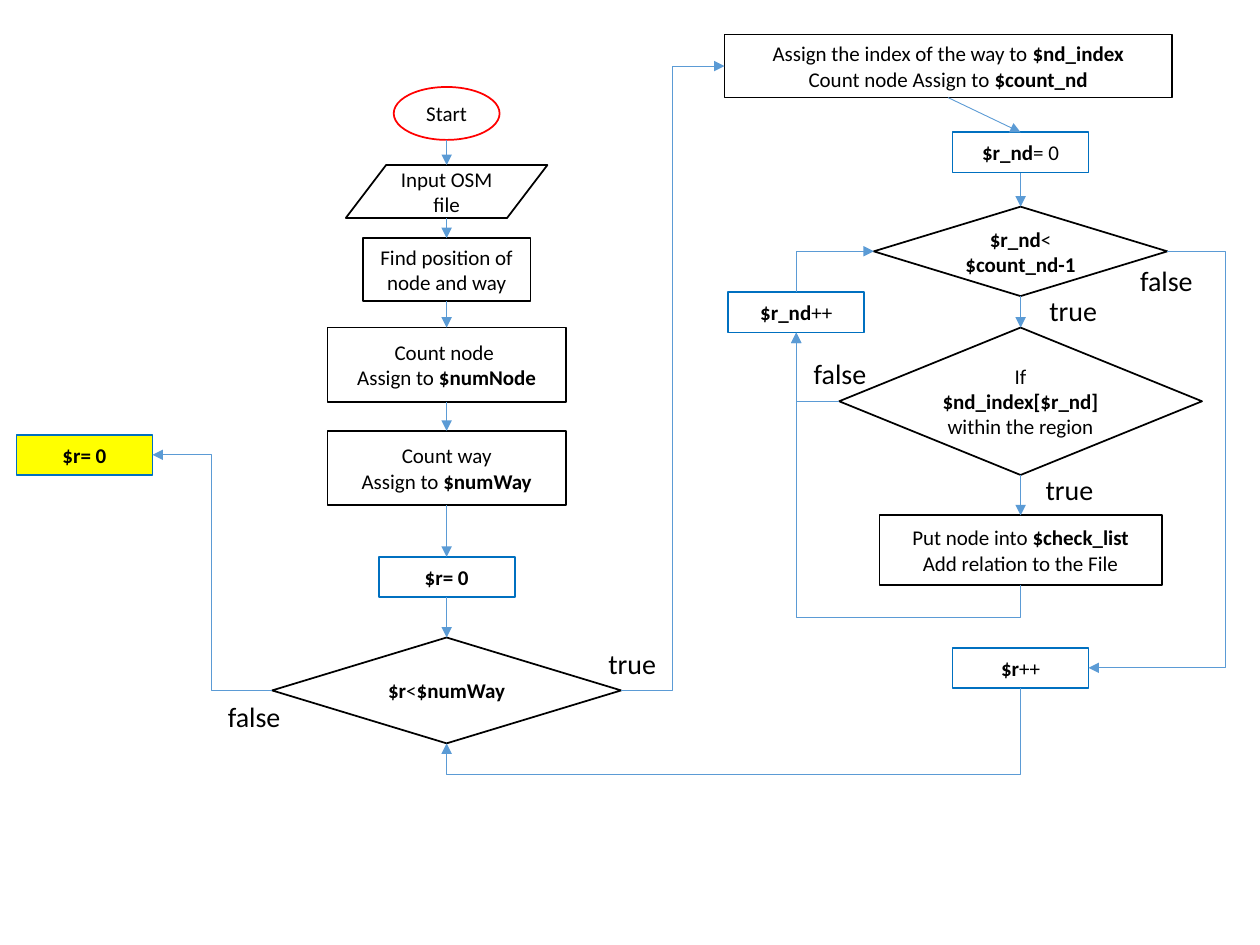
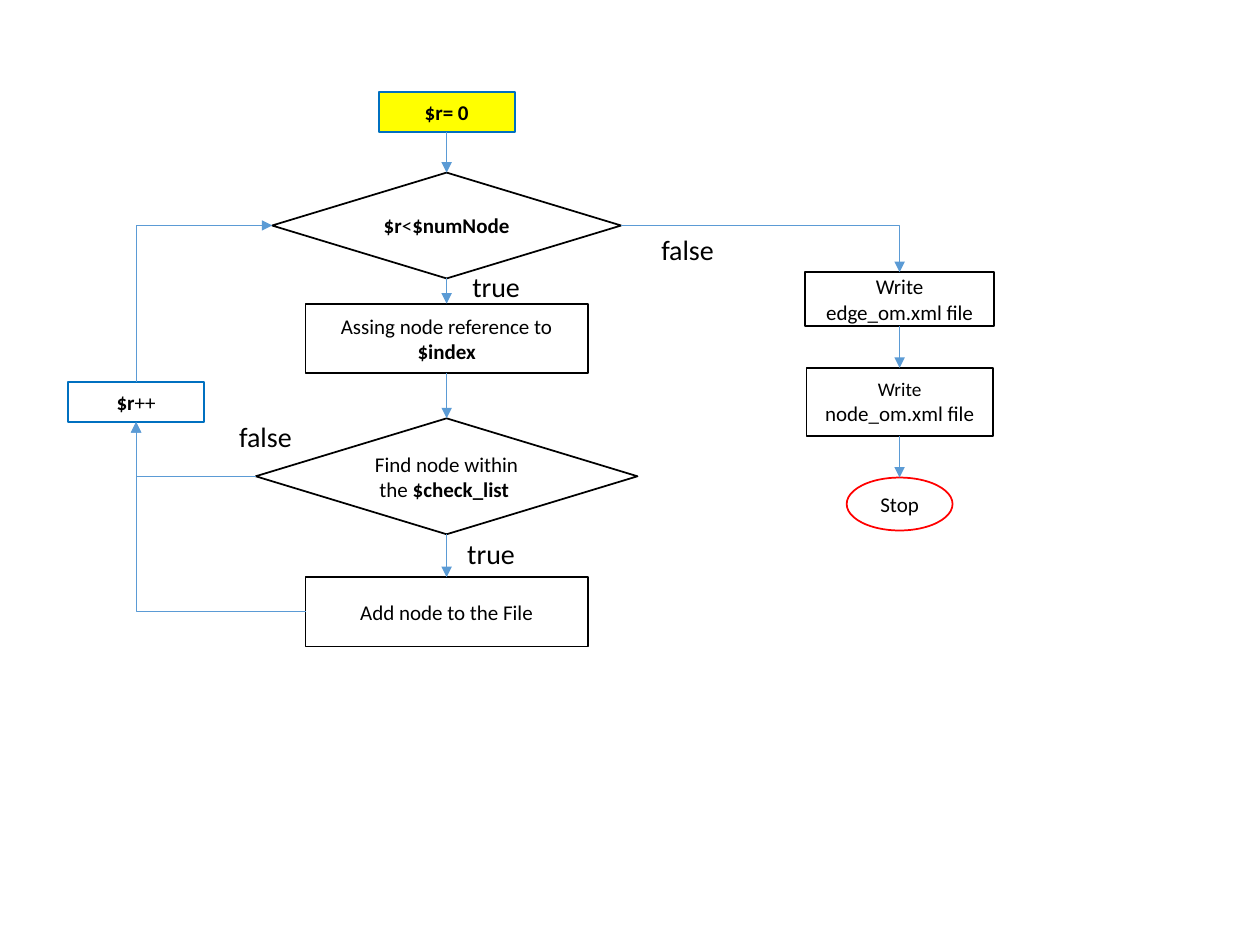
"""Build two flowchart slides about filtering map nodes and ways."""
from dataclasses import dataclass
from typing import NamedTuple, Optional

from lxml.etree import SubElement
from pptx import Presentation
from pptx.dml.color import RGBColor
from pptx.enum.shapes import MSO_CONNECTOR, MSO_SHAPE
from pptx.enum.text import MSO_ANCHOR, MSO_AUTO_SIZE, PP_ALIGN
from pptx.oxml.ns import qn
from pptx.util import Inches, Pt

COLORS = {
    "text": "000000",
    "paper": "FFFFFF",
    "step": "000000",
    "counter": "0070C0",
    "terminal": "FF0000",
    "handover": "FFFF00",
    "arrow": "5B9BD5",
}
FONT = "Calibri"
COLUMNS, ROWS = 100, 75
MAIN, RIGHT, OUTPUT = 35.45, 81, 71.4
LABEL_WIDTHS = {"true": 5.9, "false": 6.2}
LABEL_HEIGHT = 3.7

prs = Presentation()
prs.slide_width, prs.slide_height = Inches(10), Inches(7.5)
COL, ROW = prs.slide_width / COLUMNS, prs.slide_height / ROWS


class Site(NamedTuple):
    """A point in the middle of one side of a node."""
    x: float
    y: float
    index: int
    horizontal: bool


@dataclass(frozen=True)
class Kind:
    """The look of one family of nodes; sites run top, left, bottom, right."""
    shape: MSO_SHAPE
    line: str = "step"
    fill: str = "paper"
    sites: tuple = (0, 1, 2, 3)


KINDS = {
    "terminal": Kind(MSO_SHAPE.OVAL, line="terminal", sites=(0, 2, 4, 6)),
    "input": Kind(MSO_SHAPE.FLOWCHART_DATA, sites=(1, 2, 4, 5)),
    "process": Kind(MSO_SHAPE.FLOWCHART_PROCESS),
    "decision": Kind(MSO_SHAPE.FLOWCHART_DECISION),
    "counter": Kind(MSO_SHAPE.RECTANGLE, line="counter"),
    "handover": Kind(MSO_SHAPE.RECTANGLE, line="counter", fill="handover"),
}


@dataclass(frozen=True)
class Node:
    """A flowchart box: centre column, top row and size; *stars* mark bold."""
    kind: str
    text: str
    center: float
    top: float
    width: float = 10.8
    height: float = 3.2
    lead_size: float = 12

    def site(self, side: str) -> Site:
        """Return the connection point on the named side."""
        x, y = {
            "top": (self.center, self.top),
            "left": (self.center - self.width / 2, self.top + self.height / 2),
            "bottom": (self.center, self.top + self.height),
            "right": (self.center + self.width / 2, self.top + self.height / 2),
        }[side]
        order = ("top", "left", "bottom", "right").index(side)
        return Site(x, y, KINDS[self.kind].sites[order], side in ("left", "right"))


@dataclass(frozen=True)
class Arrow:
    """A connector from one node side to another; lane places its middle leg."""
    start: str
    end: str
    leave: str = "bottom"
    enter: str = "top"
    lane: Optional[float] = None


class Label(NamedTuple):
    """A branch label at a column and row."""
    text: str
    left: float
    top: float


def rgb(name: str) -> RGBColor:
    """Look up a named colour."""
    return RGBColor.from_string(COLORS[name])


def write(tf, text: str, *, size: float = 12, lead_size: Optional[float] = None,
          align: PP_ALIGN = PP_ALIGN.CENTER, wrap: bool = True) -> None:
    """Fill a text frame line by line, with starred parts in bold."""
    tf.word_wrap = wrap
    for n, line in enumerate(text.split("\n")):
        p = tf.add_paragraph() if n else tf.paragraphs[0]
        p.alignment = align
        for i, part in enumerate(line.split("*")):
            if not part:
                continue
            r = p.add_run()
            r.text = part
            r.font.name, r.font.bold = FONT, bool(i % 2)
            r.font.size = Pt(lead_size if lead_size and i == 0 else size)
            r.font.color.rgb = rgb("text")


def draw_node(s, node: Node):
    """Draw one flowchart box."""
    kind = KINDS[node.kind]
    sp = s.shapes.add_shape(
        kind.shape, int((node.center - node.width / 2) * COL), int(node.top * ROW),
        int(node.width * COL), int(node.height * ROW))
    sp.shadow.inherit = False
    sp.fill.solid()
    sp.fill.fore_color.rgb = rgb(kind.fill)
    sp.line.color.rgb = rgb(kind.line)
    sp.line.width = Pt(1)
    sp.text_frame.vertical_anchor = MSO_ANCHOR.MIDDLE
    write(sp.text_frame, node.text, lead_size=node.lead_size)
    return sp


def draw_label(s, label: Label) -> None:
    """Draw a branch label."""
    sp = s.shapes.add_textbox(
        int(label.left * COL), int(label.top * ROW),
        int(LABEL_WIDTHS[label.text] * COL), int(LABEL_HEIGHT * ROW))
    write(sp.text_frame, label.text, size=16, align=PP_ALIGN.LEFT, wrap=False)
    sp.text_frame.auto_size = MSO_AUTO_SIZE.SHAPE_TO_FIT_TEXT


def bend(cxn, a: Site, b: Site, lane: Optional[float]) -> None:
    """Shape an elbow connector so that it leaves along the side's normal."""
    dx, dy = (b.x - a.x) * COL, (b.y - a.y) * ROW
    if a.horizontal:
        width, height, turn = abs(dx), abs(dy), 0
        flip_h, flip_v = dx < 0, dy < 0
        if flip_h and flip_v:
            turn, flip_h, flip_v = 180, False, False
    else:
        width, height, turn = abs(dy), abs(dx), 90
        flip_h, flip_v = dy < 0, dx > 0
    cxn.left = int((a.x + b.x) / 2 * COL - width / 2)
    cxn.top = int((a.y + b.y) / 2 * ROW - height / 2)
    cxn.width, cxn.height = int(width), int(height)
    xfrm = cxn._element.spPr.find(qn("a:xfrm"))
    for key, value in (("rot", turn * 60000), ("flipH", int(flip_h)), ("flipV", int(flip_v))):
        xfrm.set(key, str(value))
    geom = cxn._element.spPr.find(qn("a:prstGeom"))
    if a.horizontal != b.horizontal:
        geom.set("prst", "bentConnector2")
    elif lane is not None:
        share = (lane - a.x) / (b.x - a.x) if a.horizontal else (lane - a.y) / (b.y - a.y)
        SubElement(geom.find(qn("a:avLst")), qn("a:gd"),
                   name="adj1", fmla=f"val {round(share * 100000)}")


def draw_arrow(s, arrow: Arrow, nodes: dict, shapes: dict) -> None:
    """Draw an arrow glued to its two nodes."""
    a = nodes[arrow.start].site(arrow.leave)
    b = nodes[arrow.end].site(arrow.enter)
    straight = (arrow.leave, arrow.enter) == ("bottom", "top")
    cxn = s.shapes.add_connector(
        MSO_CONNECTOR.STRAIGHT if straight else MSO_CONNECTOR.ELBOW,
        int(a.x * COL), int(a.y * ROW), int(b.x * COL), int(b.y * ROW))
    if not straight:
        bend(cxn, a, b, arrow.lane)
    glue = cxn._element.nvCxnSpPr.cNvCxnSpPr
    for tag, name, site in (("a:stCxn", arrow.start, a), ("a:endCxn", arrow.end, b)):
        SubElement(glue, qn(tag), id=str(shapes[name].shape_id), idx=str(site.index))
    cxn.line.color.rgb = rgb("arrow")
    cxn.line.width = Pt(0.5)
    SubElement(cxn._element.spPr.find(qn("a:ln")), qn("a:tailEnd"), type="triangle")
    SubElement(cxn._element.spPr, qn("a:effectLst"))


def chain(*names: str) -> list[Arrow]:
    """Link nodes downwards in order."""
    return [Arrow(a, b) for a, b in zip(names, names[1:])]


def draw_flowchart(nodes: dict, arrows: list[Arrow], labels: list[Label]) -> None:
    """Add a slide with one flowchart."""
    s = prs.slides.add_slide(prs.slide_layouts[6])
    shapes = {name: draw_node(s, node) for name, node in nodes.items()}
    for arrow in arrows:
        draw_arrow(s, arrow, nodes, shapes)
    for label in labels:
        draw_label(s, label)


draw_flowchart(
    {
        "start": Node("terminal", "Start", MAIN, 6.9, 8.4, 4.2),
        "input": Node("input", "Input OSM file", MAIN, 13.1, 16, 4.2),
        "find": Node("process", "Find position of node and way", MAIN, 18.9, 13.3, 5),
        "nodes": Node("process", "Count node \nAssign to *$numNode*", MAIN, 26, 18.9, 5.9),
        "ways": Node("process", "Count way\nAssign to *$numWay*", MAIN, 34.2, 18.9, 5.9),
        "reset": Node("counter", "*$r= 0*", MAIN, 44.2),
        "more_ways": Node("decision", "*$r*<*$numWay*", MAIN, 50.6, 27.7, 8.4),
        "index": Node("process", "Assign the index of the way to *$nd_index*\n"
                      "Count node Assign to *$count_nd*", 75.25, 2.75, 35.5, 5),
        "reset_nd": Node("counter", "*$r_nd*= 0", RIGHT, 10.5),
        "more_nd": Node("decision", "*$r_nd*< *$count_nd-1*", RIGHT, 16.4, 23.3, 7.1),
        "region": Node("decision", "If *$nd_index[$r_nd] *within the region",
                       RIGHT, 26, 28.8, 11.7),
        "put": Node("process", "Put node into *$check_list*\nAdd relation to the File",
                    RIGHT, 40.9, 22.4, 5.5),
        "next_nd": Node("counter", "*$r_nd*++", 63.2, 23.2),
        "next": Node("counter", "*$r*++", RIGHT, 51.4),
        "handover": Node("handover", "*$r= 0*", 6.7, 34.5),
    },
    [
        *chain("start", "input", "find", "nodes", "ways", "reset", "more_ways"),
        *chain("index", "reset_nd", "more_nd", "region", "put"),
        Arrow("more_ways", "index", "right", "left", 53.4),
        Arrow("more_ways", "handover", "left", "right", 16.8),
        Arrow("next_nd", "more_nd", "top", "left"),
        Arrow("more_nd", "next", "right", "right", 97.3),
        Arrow("next", "more_ways", "bottom", "bottom", 61.5),
        Arrow("put", "next_nd", "bottom", "bottom", 49),
        Arrow("region", "next_nd", "left", "bottom"),
    ],
    [
        Label("true", 47.3, 50.8), Label("false", 17.1, 55),
        Label("true", 82.3, 22.8), Label("false", 89.5, 20.4),
        Label("true", 82, 37), Label("false", 63.6, 27.8),
    ],
)

draw_flowchart(
    {
        "handover": Node("handover", "*$r= 0*", MAIN, 7.3),
        "more": Node("decision", "*$r*<*$numNode*", MAIN, 13.7, 27.7, 8.4),
        "assign": Node("process", "Assing node reference to *$index*", MAIN, 24.1, 22.4, 5.5),
        "listed": Node("decision", "Find node within the *$check_list *", MAIN, 33.2, 30.3, 9.2),
        "add": Node("process", "Add node to the File", MAIN, 45.8, 22.4, 5.5),
        "next": Node("counter", "*$r*++", 10.8, 30.3),
        "edges": Node("process", "Write edge_om.xml file", OUTPUT, 21.6, 15, 4.3),
        "points": Node("process", "Write **node_om.xml file", OUTPUT, 29.2, 14.8, 5.4,
                       lead_size=11),
        "stop": Node("terminal", "Stop", OUTPUT, 37.9, 8.4, 4.2),
    },
    [
        *chain("handover", "more", "assign", "listed", "add"),
        *chain("edges", "points", "stop"),
        Arrow("listed", "next", "left", "bottom"),
        Arrow("add", "next", "left", "bottom"),
        Arrow("next", "more", "top", "left"),
        Arrow("more", "edges", "right", "top"),
    ],
    [
        Label("true", 36.5, 20.9), Label("false", 51.5, 18),
        Label("true", 36.1, 42.1), Label("false", 18, 32.8),
    ],
)

prs.save("out.pptx")
